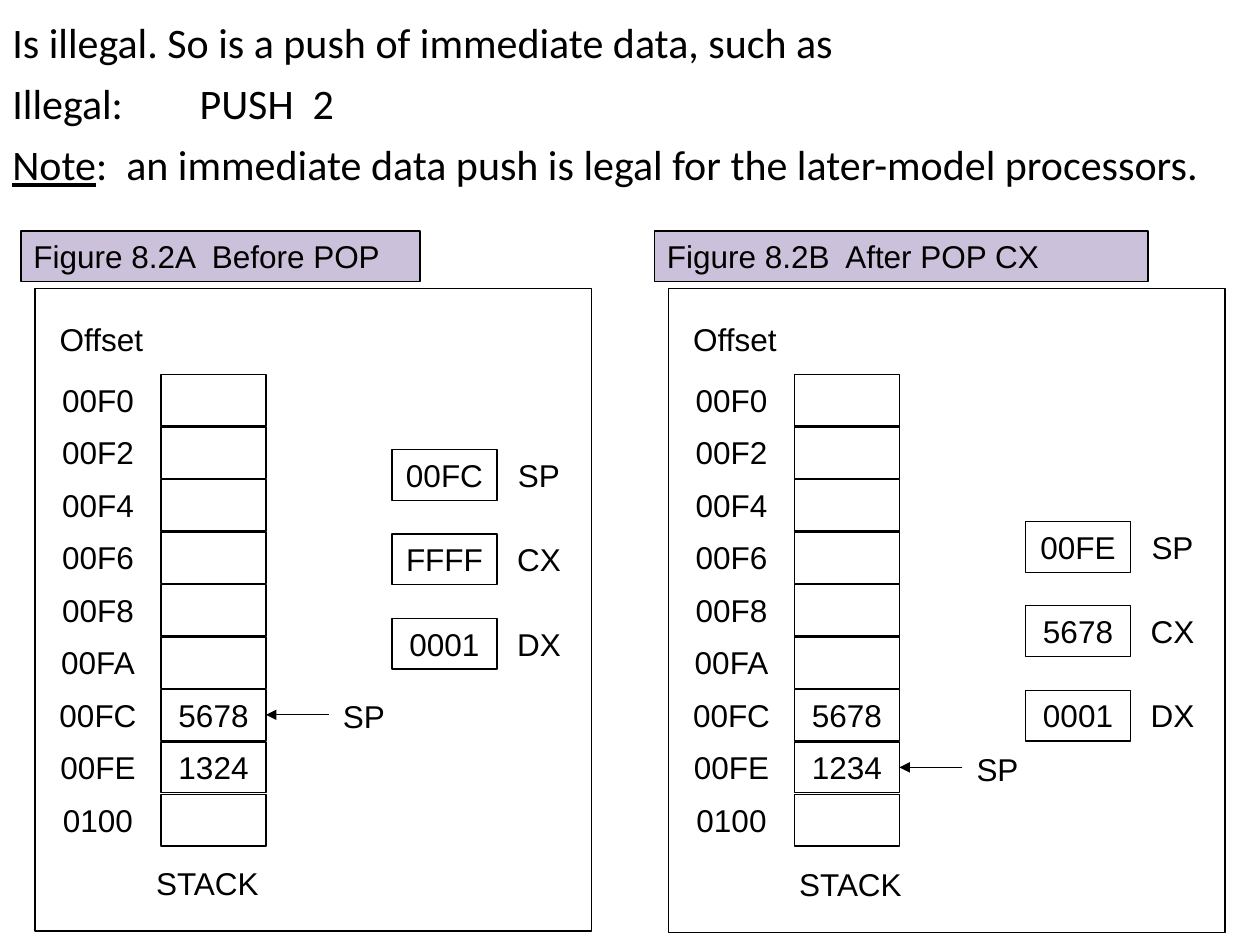
"""Build a slide that compares the stack before and after POP CX."""
from lxml.etree import SubElement
from pptx import Presentation
from pptx.dml.color import RGBColor
from pptx.enum.shapes import MSO_CONNECTOR, MSO_SHAPE
from pptx.enum.text import MSO_ANCHOR, PP_ALIGN
from pptx.oxml.ns import qn
from pptx.util import Pt

COLORS = {"ink": "000000", "title": "CCC1DA"}
OFFSETS = ["00F0", "00F2", "00F4", "00F6", "00F8", "00FA", "00FC", "00FE", "0100"]
NOTES = [
    [("Is illegal. So is a push of immediate data, such as", False)],
    [("Illegal:\tPUSH  2", False)],
    [("Note", True),
     (":  an immediate data push is legal for the later-model processors.", False)],
]
PANELS = [
    {"left": 0, "title": "Figure 8.2A  Before POP", "width": 228, "high": 367,
     "stack": {"00FC": "5678", "00FE": "1324"}, "top": "00FC", "base": (76.5, 490, 84),
     "regs": {"SP": "00FC", "CX": "FFFF", "DX": "0001"}, "reg_y": 257},
    {"left": 362, "title": "Figure 8.2B  After POP CX", "width": 282, "high": 368,
     "stack": {"00FC": "5678", "00FE": "1234"}, "top": "00FE", "base": (74, 491, 100),
     "regs": {"SP": "00FE", "CX": "5678", "DX": "0001"}, "reg_y": 298},
]
ROW_Y, ROW_STEP, REG_STEP = 214, 30, 48.2
CELL_W, TEXT_H = 60, 29


def color(name):
    return RGBColor.from_string(COLORS[name])


def add_run(para, text, font="Arial", size=18, under=False):
    run = para.add_run()
    run.text = text
    run.font.name = font
    run.font.size = Pt(size)
    run.font.underline = under
    run.font.color.rgb = color("ink")


def write(shape, text, align):
    frame = shape.text_frame
    frame.word_wrap = True
    frame.vertical_anchor = MSO_ANCHOR.TOP
    para = frame.paragraphs[0]
    para.alignment = align
    add_run(para, text)


def add_label(group, text, x, y, w=CELL_W):
    box = group.add_textbox(Pt(x), Pt(y), Pt(w), Pt(TEXT_H))
    write(box, text, PP_ALIGN.CENTER)


def add_box(group, x, y, w, h, text="", fill=None, align=PP_ALIGN.CENTER):
    box = group.add_shape(MSO_SHAPE.RECTANGLE, Pt(x), Pt(y), Pt(w), Pt(h))
    box.shadow.inherit = False
    if fill:
        box.fill.solid()
        box.fill.fore_color.rgb = color(fill)
    else:
        box.fill.background()
    box.line.color.rgb = color("ink")
    box.line.width = Pt(0.75)
    if text:
        write(box, text, align)
    return box


def add_arrow(group, cell):
    y = cell.top + cell.height // 2
    edge = cell.left + cell.width
    line = group.add_connector(MSO_CONNECTOR.STRAIGHT, edge + Pt(36), y, edge, y)
    line.end_connect(cell, 3)
    line.line.color.rgb = color("ink")
    line.line.width = Pt(0.75)
    props = line._element.spPr
    SubElement(props.find(qn("a:ln")), qn("a:tailEnd"), type="triangle")
    SubElement(props, qn("a:effectLst"))


def add_notes(slide):
    box = slide.shapes.add_textbox(Pt(0), Pt(6), Pt(720), Pt(102))
    frame = box.text_frame
    frame.word_wrap = True
    for i, runs in enumerate(NOTES):
        para = frame.add_paragraph() if i else frame.paragraphs[0]
        if i:
            para.space_before = Pt(6)
        tabs = SubElement(para._p.get_or_add_pPr(), qn("a:tabLst"))
        SubElement(tabs, qn("a:tab"), pos=str(Pt(107)), algn="l")
        for text, under in runs:
            add_run(para, text, "Calibri", 24, under)


def add_stack(group, panel):
    left = panel["left"]
    add_label(group, "Offset", left + 25, 179.3, 66)
    for i, offset in enumerate(OFFSETS):
        y = ROW_Y + i * ROW_STEP
        value = panel["stack"].get(offset, "")
        add_label(group, offset, left + 26, y)
        cell = add_box(group, left + 92, y, CELL_W, TEXT_H if value else 29.5, value)
        if offset == panel["top"]:
            add_arrow(group, cell)
            add_label(group, "SP", left + 178, y + 1)
    x, y, w = panel["base"]
    add_label(group, "STACK", left + x, y, w)


def add_regs(group, panel):
    left = panel["left"]
    for i, (name, value) in enumerate(panel["regs"].items()):
        y = panel["reg_y"] + i * REG_STEP
        add_box(group, left + 224, y, CELL_W, TEXT_H, value)
        add_label(group, name, left + 278, y)


def add_panel(slide, panel):
    group = slide.shapes.add_group_shape().shapes
    left = panel["left"]
    add_box(group, left + 20, 165, 318, panel["high"])
    add_stack(group, panel)
    add_regs(group, panel)
    add_box(group, left + 12, 132, panel["width"], TEXT_H, panel["title"],
            "title", PP_ALIGN.LEFT)


def main():
    deck = Presentation()
    deck.slide_width, deck.slide_height = Pt(720), Pt(540)
    slide = deck.slides.add_slide(deck.slide_layouts[6])
    add_notes(slide)
    for panel in PANELS:
        add_panel(slide, panel)
    deck.save("out.pptx")


if __name__ == "__main__":
    main()
